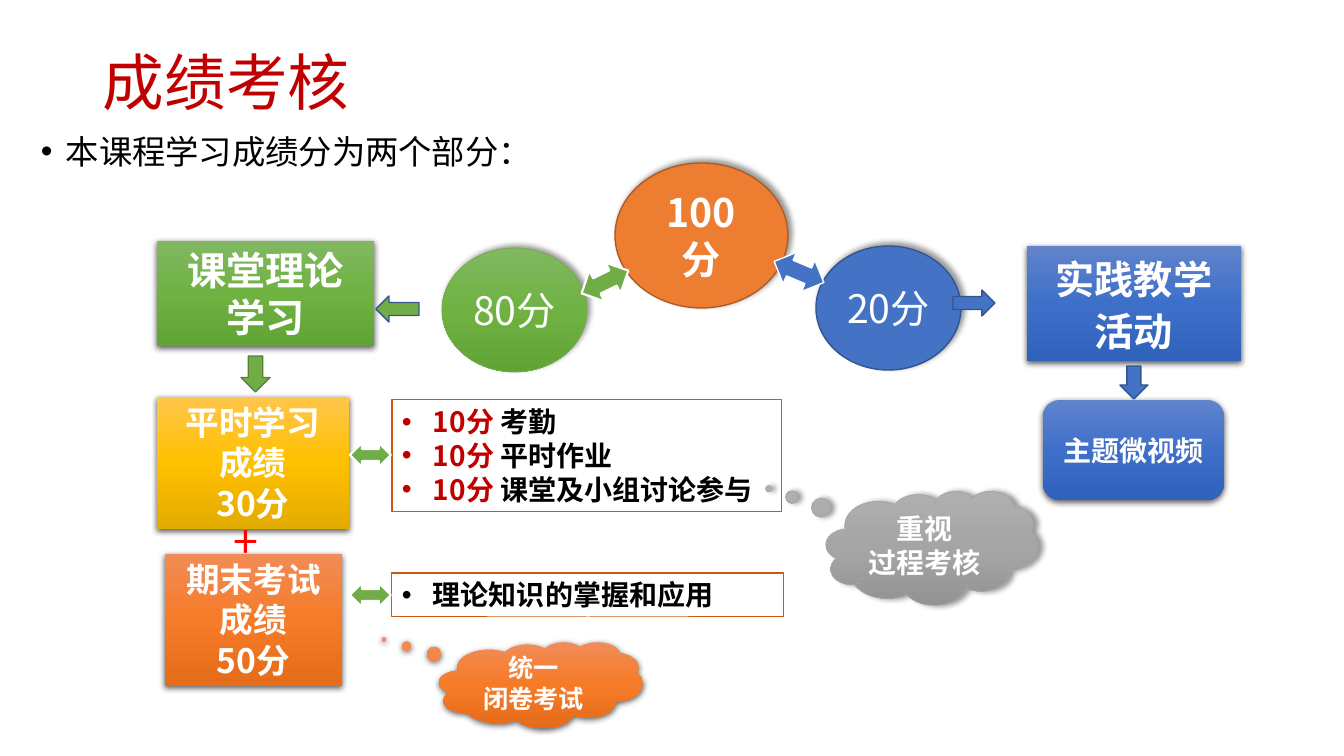
from lxml import etree
from pptx import Presentation
from pptx import util as u
from pptx.dml.color import RGBColor
from pptx.enum import shapes, text
from pptx.oxml import ns

PX = 914400 / 100.8
FONT = "Noto Sans CJK SC"
KIND = shapes.MSO_SHAPE
TOP, MIDDLE = text.MSO_ANCHOR.TOP, text.MSO_ANCHOR.MIDDLE
WHITE = RGBColor(0xFF, 0xFF, 0xFF)
BLACK = RGBColor(0x00, 0x00, 0x00)
RED = RGBColor(0xFF, 0x00, 0x00)
DARK_RED = RGBColor(0xC0, 0x00, 0x00)
ORANGE = RGBColor(0xED, 0x7D, 0x31)
ORANGE_EDGE = RGBColor(0xAF, 0x5C, 0x24)
BOX_EDGE = RGBColor(0xC5, 0x5A, 0x11)
GREEN = RGBColor(0x70, 0xAD, 0x47)
GREEN_EDGE = RGBColor(0x53, 0x80, 0x35)
BLUE = RGBColor(0x44, 0x72, 0xC4)
BLUE_EDGE = RGBColor(0x32, 0x54, 0x91)
GRAY = RGBColor(0xA5, 0xA5, 0xA5)
GREEN_FADE = (RGBColor(0x81, 0xB8, 0x61), RGBColor(0x6F, 0xB2, 0x42), RGBColor(0x62, 0xA3, 0x36))
BLUE_FADE = (RGBColor(0x61, 0x83, 0xCB), RGBColor(0x3E, 0x70, 0xCA), RGBColor(0x30, 0x62, 0xBB))
GOLD_FADE = (RGBColor(0xFF, 0xC6, 0x4B), RGBColor(0xFF, 0xC0, 0x00), RGBColor(0xE3, 0xAB, 0x00))
ORANGE_FADE = (RGBColor(0xF1, 0x8C, 0x57), RGBColor(0xF6, 0x7B, 0x28), RGBColor(0xE5, 0x6C, 0x19))
GRAY_FADE = (RGBColor(0xAF, 0xAF, 0xAF), GRAY, RGBColor(0x93, 0x93, 0x93))
SOFT_UP = (40, 4, 3, 315)
SOFT_RIGHT = (40, 4, 3, 0)
BELOW = (63, 4.5, 1.5, 90)


def px(length):
    """Turn px into EMU."""
    return u.Emu(round(length * PX))


def child(parent, tag, **attributes):
    """Append an XML element with the given attributes."""
    values = {name: str(value) for name, value in attributes.items()}
    return etree.SubElement(parent, ns.qn(tag), values)


class Board:
    """Draws styled elements on one slide."""

    def __init__(self, slide):
        """Keep the slide to draw on."""
        self.slide = slide

    def shape(self, kind, box, fill=None, line=None, shadow=None, turn=0, tail=None):
        """Add a preset shape with its fill, outline and shadow."""
        shape = self.slide.shapes.add_shape(kind, *map(px, box))
        shape.rotation = turn
        for i, value in enumerate(tail or ()):
            shape.adjustments[i] = value
        if fill is None:
            shape.fill.background()
        elif isinstance(fill, RGBColor):
            shape.fill.solid()
            shape.fill.fore_color.rgb = fill
        else:
            self.fade(shape, fill)
        if line:
            shape.line.color.rgb, shape.line.width = line[0], u.Pt(line[1])
        else:
            shape.line.fill.background()
        shape.shadow.inherit = False
        if shadow:
            self.cast(shape, *shadow)
        return shape

    def fade(self, shape, colours):
        """Fill a shape with a downward gradient."""
        shape.fill.gradient()
        gradient = shape.element.spPr.find(ns.qn("a:gradFill"))
        for part in list(gradient):
            gradient.remove(part)
        stops = child(gradient, "a:gsLst")
        for i, colour in enumerate(colours):
            child(child(stops, "a:gs", pos=i * 50000), "a:srgbClr", val=colour)
        child(gradient, "a:lin", ang=90 * 60000, scaled=0)

    def cast(self, shape, opacity, blur, distance, angle):
        """Give a shape a black outer shadow."""
        effects = shape.element.spPr.find(ns.qn("a:effectLst"))
        outer = child(effects, "a:outerShdw", blurRad=u.Pt(blur), dist=u.Pt(distance),
                      dir=angle * 60000, rotWithShape=0)
        child(child(outer, "a:srgbClr", val=BLACK), "a:alpha", val=opacity * 1000)

    def letter(self, shape, words, size, colour=WHITE, bold=True, anchor=MIDDLE,
               centred=True, spacing=None, before=None, indent=0, lead=""):
        """Set the text of a shape, with a dark red lead if one is given."""
        frame = shape.text_frame
        frame.word_wrap = True
        frame.vertical_anchor = anchor
        frame.text = words
        for paragraph in frame.paragraphs:
            paragraph.alignment = text.PP_ALIGN.CENTER if centred else text.PP_ALIGN.LEFT
            if spacing:
                paragraph.line_spacing = spacing
            if before:
                paragraph.space_before = u.Pt(before)
            if indent:
                self.bullet(paragraph, indent)
            if lead:
                rest = paragraph.text.removeprefix(lead)
                paragraph.text = lead
                paragraph.add_run().text = rest
            for run in paragraph.runs:
                run.font.size, run.font.bold, run.font.name = u.Pt(size), bold, FONT
                run.font.color.rgb = DARK_RED if lead and run.text == lead else colour
                child(run.font._element, "a:ea", typeface=FONT)

    def bullet(self, paragraph, indent):
        """Give a paragraph a hanging round bullet."""
        properties = paragraph._p.get_or_add_pPr()
        properties.set("marL", str(px(indent)))
        properties.set("indent", str(-px(indent)))
        child(properties, "a:buFont", typeface="Arial")
        child(properties, "a:buChar", char="•")

    def label(self, box, words, size, colour, **style):
        """Add plain text without a frame."""
        label = self.slide.shapes.add_textbox(*map(px, box))
        self.letter(label, words, size, colour, bold=False, **style)

    def score(self, box, words, fill, line, bold=False):
        """Add a round score."""
        circle = self.shape(KIND.OVAL, box, fill, line, SOFT_UP)
        self.letter(circle, words, 28, bold=bold)

    def card(self, box, words, fill, size, spacing=None):
        """Add a shaded card."""
        card = self.shape(KIND.RECTANGLE, box, fill, shadow=BELOW)
        self.letter(card, words, size, anchor=TOP, spacing=spacing)

    def details(self, box, words, lead=""):
        """Add an outlined bullet list."""
        details = self.shape(KIND.RECTANGLE, box, line=(BOX_EDGE, 0.75))
        self.letter(details, words, 20, BLACK, anchor=TOP, centred=False, indent=31, lead=lead)

    def cloud(self, box, words, size, fill, tail, line=None, shadow=BELOW):
        """Add a thought cloud."""
        cloud = self.shape(KIND.CLOUD_CALLOUT, box, fill, line, shadow, tail=tail)
        self.letter(cloud, words, size)


def main():
    """Build the grading slide."""
    deck = Presentation()
    deck.slide_width, deck.slide_height = px(1344), px(756)
    board = Board(deck.slides.add_slide(deck.slide_layouts[6]))

    board.label((93, 37, 1159, 97), "成绩考核", 44, DARK_RED, centred=False, spacing=0.9)
    board.label((31, 134, 530, 65), "本课程学习成绩分为两个部分：", 23.8, BLACK, anchor=TOP,
                centred=False, spacing=0.8, before=10, indent=25)

    board.score((615, 163, 173, 145), "100分", ORANGE, (ORANGE_EDGE, 1), bold=True)
    board.score((442, 248, 145, 124), "80分", GREEN_FADE, (GREEN, 0.5))
    board.score((816, 246, 145, 124), "20分", BLUE, (BLUE_EDGE, 1))
    board.shape(KIND.LEFT_RIGHT_ARROW, (579, 265, 52, 34), GREEN, (WHITE, 1.5), turn=334)
    board.shape(KIND.LEFT_RIGHT_ARROW, (772, 255, 54, 34), BLUE, (WHITE, 1), turn=23)

    board.card((1027, 246, 214, 115), "实践教学活动", BLUE_FADE, 28, spacing=1.1)
    board.card((157, 241, 217, 105), "课堂理论\n学习", GREEN_FADE, 28)
    board.card((157, 397, 192, 132), "平时学习\n成绩\n30分", GOLD_FADE, 24)
    board.card((165, 554, 177, 132), "期末考试成绩\n50分", ORANGE_FADE, 24)
    board.label((215, 509, 61, 65), "+", 32, RED, anchor=TOP)
    board.shape(KIND.DOWN_ARROW, (241, 356, 29, 36), GREEN, (GREEN_EDGE, 1))

    board.details((392, 400, 390, 112), "10分 考勤\n10分 平时作业\n10分 课堂及小组讨论参与", "10分")
    board.details((392, 573, 392, 44), "理论知识的掌握和应用")
    for top in (443, 583):
        board.shape(KIND.LEFT_RIGHT_ARROW, (350, top, 41, 24), GREEN, (WHITE, 1.5))

    board.cloud((826, 491, 212, 114), "重视\n过程考核", 20, GRAY_FADE, (-0.77, -0.52),
                (GRAY, 0.5), SOFT_RIGHT)
    board.shape(KIND.RIGHT_ARROW, (953, 290, 42, 26), BLUE, (BLUE_EDGE, 1))
    board.shape(KIND.LEFT_ARROW, (376, 296, 43, 26), GREEN, (BLUE_EDGE, 1))
    board.cloud((439, 642, 204, 86), "统一\n闭卷考试", 18, ORANGE_FADE, (-0.77, -0.53))

    video = board.shape(KIND.ROUNDED_RECTANGLE, (1043, 400, 181, 100), BLUE_FADE, shadow=BELOW)
    board.letter(video, "主题微视频", 20)
    board.shape(KIND.DOWN_ARROW, (1120, 366, 28, 33), BLUE, (BLUE_EDGE, 1))

    deck.save("out.pptx")


if __name__ == "__main__":
    main()
